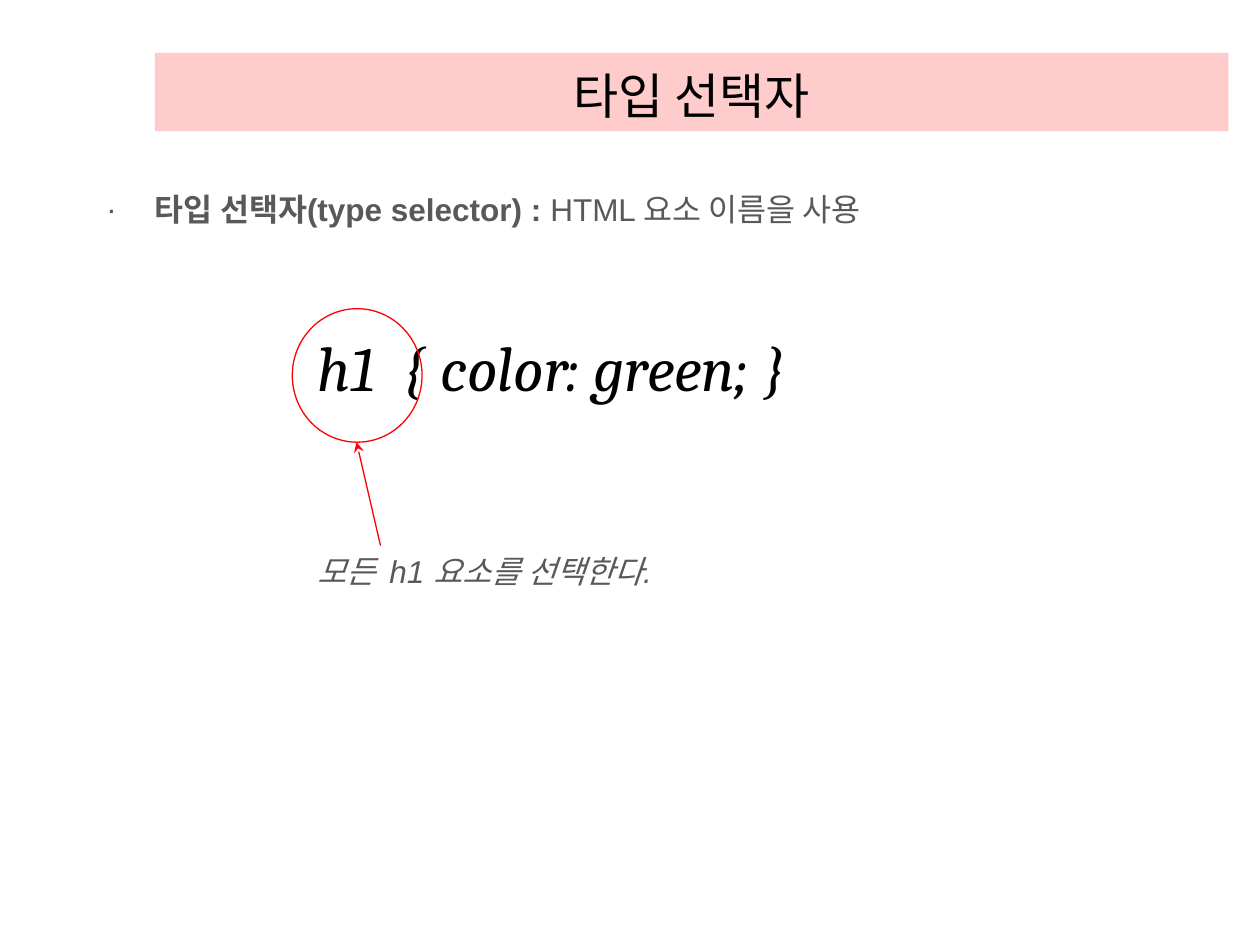
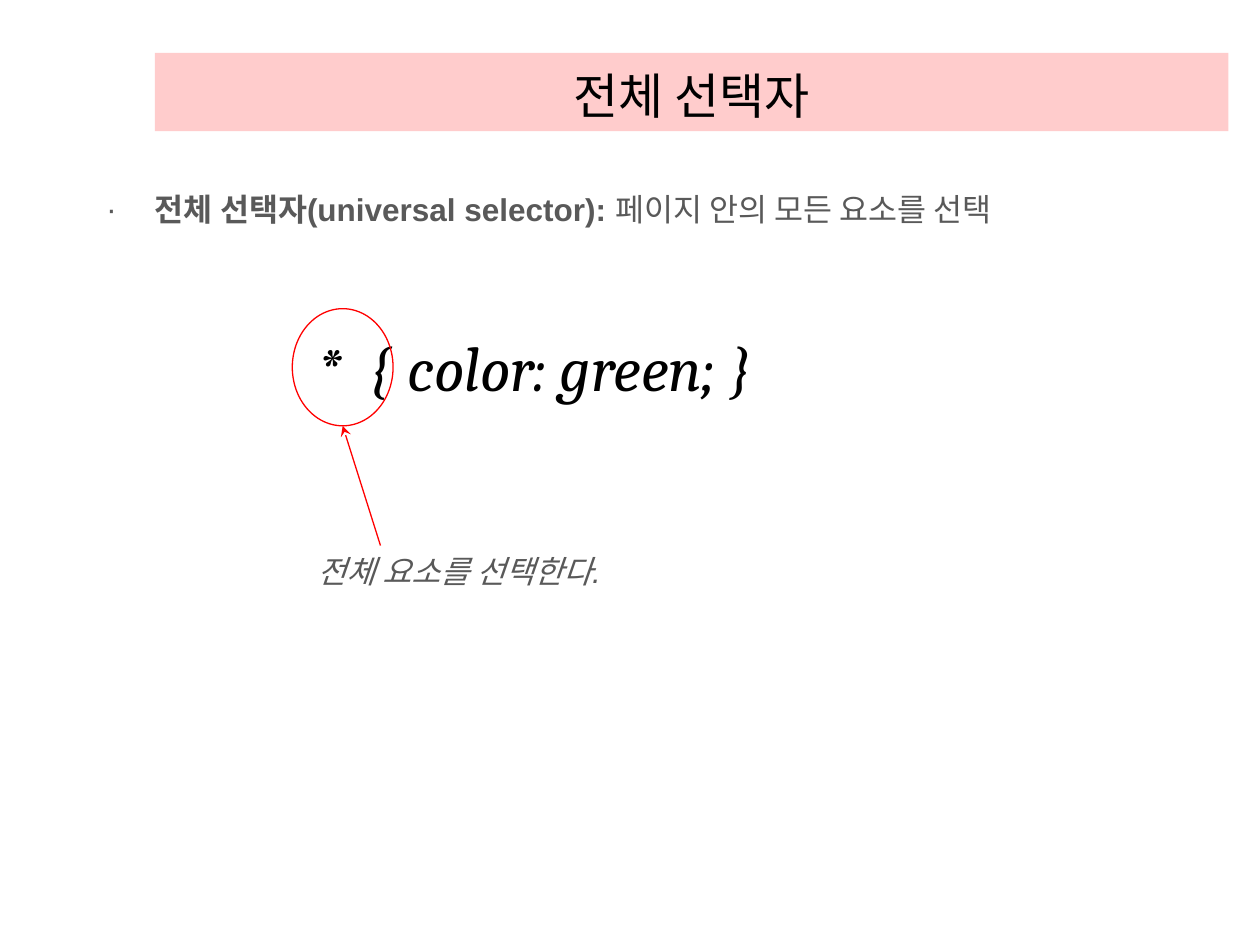
from dataclasses import dataclass
from typing import NamedTuple

from lxml.etree import SubElement
from pptx import Presentation
from pptx.dml.color import RGBColor
from pptx.enum.shapes import MSO_CONNECTOR, MSO_SHAPE
from pptx.enum.text import MSO_ANCHOR, MSO_AUTO_SIZE, PP_ALIGN
from pptx.oxml.ns import qn
from pptx.util import Pt

PX = 9144
HUES = {"band": "FFCCCC", "ink": "000000", "gray": "595959", "mark": "FF0000"}


class Box(NamedTuple):
    left: int
    top: int
    width: int
    height: int

    def emu(self) -> list[int]:
        return [v * PX for v in self]


@dataclass
class Topic:
    title: str
    term: str
    gloss: str
    code: str
    code_w: int
    ring: Box
    note: str
    note_w: int


TOPICS = [
    Topic("타입 선택자", "타입 선택자(type selector) : ", "HTML 요소 이름을 사용",
          "h1  { color: green; }", 448, Box(232, 245, 103, 106),
          "모든  h1 요소를 선택한다.", 318),
    Topic("전체 선택자", "전체 선택자(universal selector): ", "페이지 안의 모든 요소를 선택",
          "*  { color: green; }", 415, Box(232, 245, 80, 93),
          "전체 요소를 선택한다.", 275),
]
TITLE = Box(123, 42, 852, 62)
BODY = Box(75, 146, 898, 454)
TEXT_X, CODE_Y, NOTE_Y, TAIL_X = 242, 256, 433, 302
INDENT = 38


def hue(name: str) -> RGBColor:
    return RGBColor.from_string(HUES[name])


def place(shape, box: Box) -> None:
    shape.left, shape.top, shape.width, shape.height = box.emu()


def style(run, face: str, size: int, tone: str, bold=False, slant=False) -> None:
    font = run.font
    font.name, font.size = face, Pt(size)
    font.bold, font.italic = bold, slant
    font.color.rgb = hue(tone)


def outline(shape) -> None:
    shape.line.color.rgb = hue("mark")
    shape.line.width = Pt(0.75)


def head(slide, text: str) -> None:
    title = slide.shapes.title
    place(title, TITLE)
    title.fill.solid()
    title.fill.fore_color.rgb = hue("band")
    frame = title.text_frame
    frame.text = text
    frame.vertical_anchor = MSO_ANCHOR.BOTTOM
    frame.auto_size = MSO_AUTO_SIZE.NONE
    para = frame.paragraphs[0]
    para.alignment = PP_ALIGN.CENTER
    style(para.runs[0], "Cambria", 28, "ink")


def define(slide, term: str, gloss: str) -> None:
    body = slide.placeholders[1]
    place(body, BODY)
    frame = body.text_frame
    frame.text = term
    frame.auto_size = MSO_AUTO_SIZE.NONE
    para = frame.paragraphs[0]
    para.space_before = Pt(0)
    props = para._p.get_or_add_pPr()
    props.set("marL", str(INDENT * PX))
    props.set("indent", str(-INDENT * PX))
    tint = SubElement(props, qn("a:buClr"))
    SubElement(tint, qn("a:srgbClr"), val=HUES["gray"])
    SubElement(props, qn("a:buChar"), char="∙")
    para.add_run().text = gloss
    for run, bold in zip(para.runs, (True, False)):
        style(run, "Arial", 18, "gray", bold=bold)


def label(slide, box: Box, text: str, face: str, size: int, tone: str) -> None:
    frame = slide.shapes.add_textbox(*box.emu()).text_frame
    frame.text = text
    frame.word_wrap = True
    frame.auto_size = MSO_AUTO_SIZE.SHAPE_TO_FIT_TEXT
    style(frame.paragraphs[0].runs[0], face, size, tone, slant=True)


def circle(slide, box: Box) -> None:
    ring = slide.shapes.add_shape(MSO_SHAPE.OVAL, *box.emu())
    ring.shadow.inherit = False
    ring.fill.background()
    outline(ring)


def arrow(slide, ring: Box) -> None:
    tip_x = ring.left + ring.width // 2
    tip_y = ring.top + ring.height
    ends = [v * PX for v in (TAIL_X, NOTE_Y, tip_x, tip_y)]
    line = slide.shapes.add_connector(MSO_CONNECTOR.STRAIGHT, *ends)
    outline(line)
    SubElement(line.line._get_or_add_ln(), qn("a:tailEnd"), type="stealth")
    SubElement(line._element.spPr, qn("a:effectLst"))


def build(deck, topic: Topic) -> None:
    slide = deck.slides.add_slide(deck.slide_layouts[1])
    head(slide, topic.title)
    define(slide, topic.term, topic.gloss)
    label(slide, Box(TEXT_X, CODE_Y, topic.code_w, 71), topic.code, "Cambria", 36, "ink")
    circle(slide, topic.ring)
    label(slide, Box(TEXT_X, NOTE_Y, topic.note_w, 40), topic.note, "Arial", 18, "gray")
    arrow(slide, topic.ring)


def main() -> None:
    deck = Presentation()
    deck.slide_width, deck.slide_height = 1000 * PX, 750 * PX
    for topic in TOPICS:
        build(deck, topic)
    deck.save("out.pptx")


if __name__ == "__main__":
    main()
